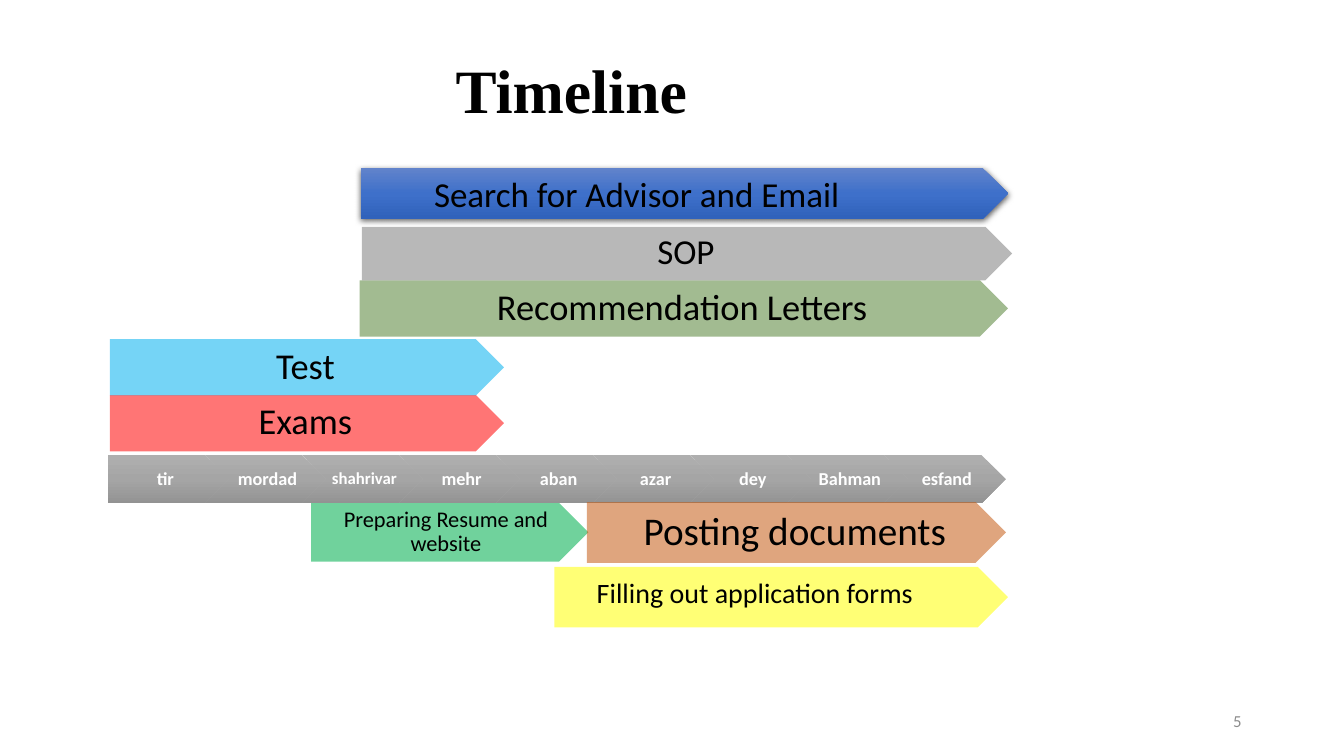
"""Builds a timeline slide of application tasks over nine months."""
from copy import deepcopy

from pptx import Presentation
from pptx.dml import color as clr
from pptx.enum import shapes as shp, text as txt
from pptx.oxml import parse_xml
from pptx.oxml import ns
from pptx.util import Pt

PLATE, CHEVRON = shp.MSO_SHAPE.PENTAGON, shp.MSO_SHAPE.CHEVRON
LEFT, MID, RIGHT = txt.PP_ALIGN.LEFT, txt.PP_ALIGN.CENTER, txt.PP_ALIGN.RIGHT
GRAY = ("AFAFAF", "A5A5A5", "939393")
BLUE = ("6183CB", "3E70CA", "3062BB")

MONTHS = ("tir", "mordad", "shahrivar", "mehr", "aban",
          "azar", "dey", "Bahman", "esfand")

# label, size, left, top, width, height, fill, opacity, insets
TASKS = (
    ("Exams", 26, 78.5, 282.2, 281.5, 40.2, "FF0000", 54, (11, 6, 3, 6)),
    ("Test", 26, 78.5, 242.3, 281.5, 40.2, "00B0F0", 54, (11, 6, 3, 6)),
    ("Preparing Resume and website", 16, 222.3, 359.3, 198, 41.8, "00B050",
     56, (6.5, 3.5, 1.5, 3.5)),
    ("Recommendation Letters", 26, 257, 200.2, 463, 40.2, "548235", 54,
     (11, 6, 3, 6)),
    ("SOP", 25, 258.5, 162, 464.4, 38.2, "7C7C7C", 54, (11, 5, 3, 5)),
    ("Posting documents", 28, 419.2, 358.6, 299.4, 43.4, "C55A11", 54,
     (11.5, 6, 3, 6)),
)


def rgb(code):
    """Turn a hex string into a colour."""
    return clr.RGBColor.from_string(code)


def write(frame, words, size, align=MID, code="000000", font="Calibri",
          bold=False, space=None):
    """Write one paragraph into a text frame."""
    para = frame.paragraphs[0]
    para.alignment = align
    para.line_spacing = space
    run = para.add_run()
    run.text = words
    run.font.size = Pt(size)
    run.font.name = font
    run.font.bold = bold
    run.font.color.rgb = rgb(code)


def label(slide, box, words, size, anchor=txt.MSO_ANCHOR.TOP, **style):
    """Add a text box."""
    frame = slide.shapes.add_textbox(*map(Pt, box)).text_frame
    frame.word_wrap = True
    frame.vertical_anchor = anchor
    write(frame, words, size, **style)


def arrow(slide, kind, box):
    """Add a block arrow without line or shadow."""
    shape = slide.shapes.add_shape(kind, *map(Pt, box))
    shape.line.fill.background()
    shape.shadow.inherit = False
    return shape


def tint(shape, code, alpha):
    """Fill a shape with a see-through colour."""
    shape.fill.solid()
    shape.fill.fore_color.rgb = rgb(code)
    node = shape._element.spPr.find(".//" + ns.qn("a:srgbClr"))
    node.append(parse_xml(
        f'<a:alpha {ns.nsdecls("a")} val="{alpha * 1000}"/>'))


def shade(shape, codes):
    """Fill a shape with a three-stop gradient from top to bottom."""
    shape.fill.gradient()
    shape.fill.gradient_angle = 270
    stops = shape._element.spPr.find(".//" + ns.qn("a:gsLst"))
    stops.insert(1, deepcopy(stops[0]))
    for i, (stop, code) in enumerate(zip(shape.fill.gradient_stops, codes)):
        stop.position = i / 2
        stop.color.rgb = rgb(code)


def drop(shape):
    """Cast a soft shadow below a shape."""
    shape._element.spPr.find(ns.qn("a:effectLst")).append(parse_xml(
        f'<a:outerShdw {ns.nsdecls("a")} blurRad="{Pt(4.5)}" '
        f'dist="{Pt(1.5)}" dir="5400000" algn="ctr" rotWithShape="0">'
        '<a:srgbClr val="000000"><a:alpha val="63000"/></a:srgbClr>'
        '</a:outerShdw>'))


def inset(frame, sides):
    """Set the left, top, right and bottom insets of a text frame."""
    (frame.margin_left, frame.margin_top,
     frame.margin_right, frame.margin_bottom) = map(Pt, sides)
    frame.vertical_anchor = txt.MSO_ANCHOR.MIDDLE


def month(slide, i, name):
    """Add one month to the time axis."""
    kind = CHEVRON if i else PLATE
    shape = arrow(slide, kind, (77 + i * 69.33, 324.9, 86.6, 34.6))
    shade(shape, GRAY)
    frame = shape.text_frame
    frame.word_wrap = False
    inset(frame, (4.3 if i else 5.8, 3, 1.5, 3))
    size = 12 if name == "shahrivar" else 13
    write(frame, name, size, code="FFFFFF", bold=True, space=0.9)


def task(slide, words, size, left, top, wide, high, code, alpha, sides):
    """Add one labelled task bar."""
    shape = arrow(slide, PLATE, (left, top, wide, high))
    tint(shape, code, alpha)
    shape.text_frame.word_wrap = True
    inset(shape.text_frame, sides)
    write(shape.text_frame, words, size, space=0.9)


def main():
    """Build and save the slide."""
    deck = Presentation()
    deck.slide_width, deck.slide_height = Pt(960), Pt(540)
    slide = deck.slides.add_slide(deck.slide_layouts[6])
    center = txt.MSO_ANCHOR.MIDDLE
    label(slide, (678, 500.5, 216, 28.8), "5", 12, center, align=RIGHT,
          code="8C8C8C")
    label(slide, (113, 21.6, 590.4, 90), "Timeline", 44, center,
          font="Times New Roman", bold=True, space=0.9)
    for i, name in enumerate(MONTHS):
        month(slide, i, name)
    for row in TASKS:
        task(slide, *row)
    search = arrow(slide, PLATE, (257.8, 120.2, 462.2, 36))
    shade(search, BLUE)
    drop(search)
    label(slide, (303, 119.5, 372.2, 37.4), "Search for Advisor and Email",
          25, align=LEFT)
    forms = arrow(slide, PLATE, (396, 404.9, 324, 43.2))
    tint(forms, "FFFF00", 54)
    label(slide, (419.2, 407.5, 283, 31.7), "Filling out application forms",
          20, align=LEFT)
    deck.save("out.pptx")


if __name__ == "__main__":
    main()
